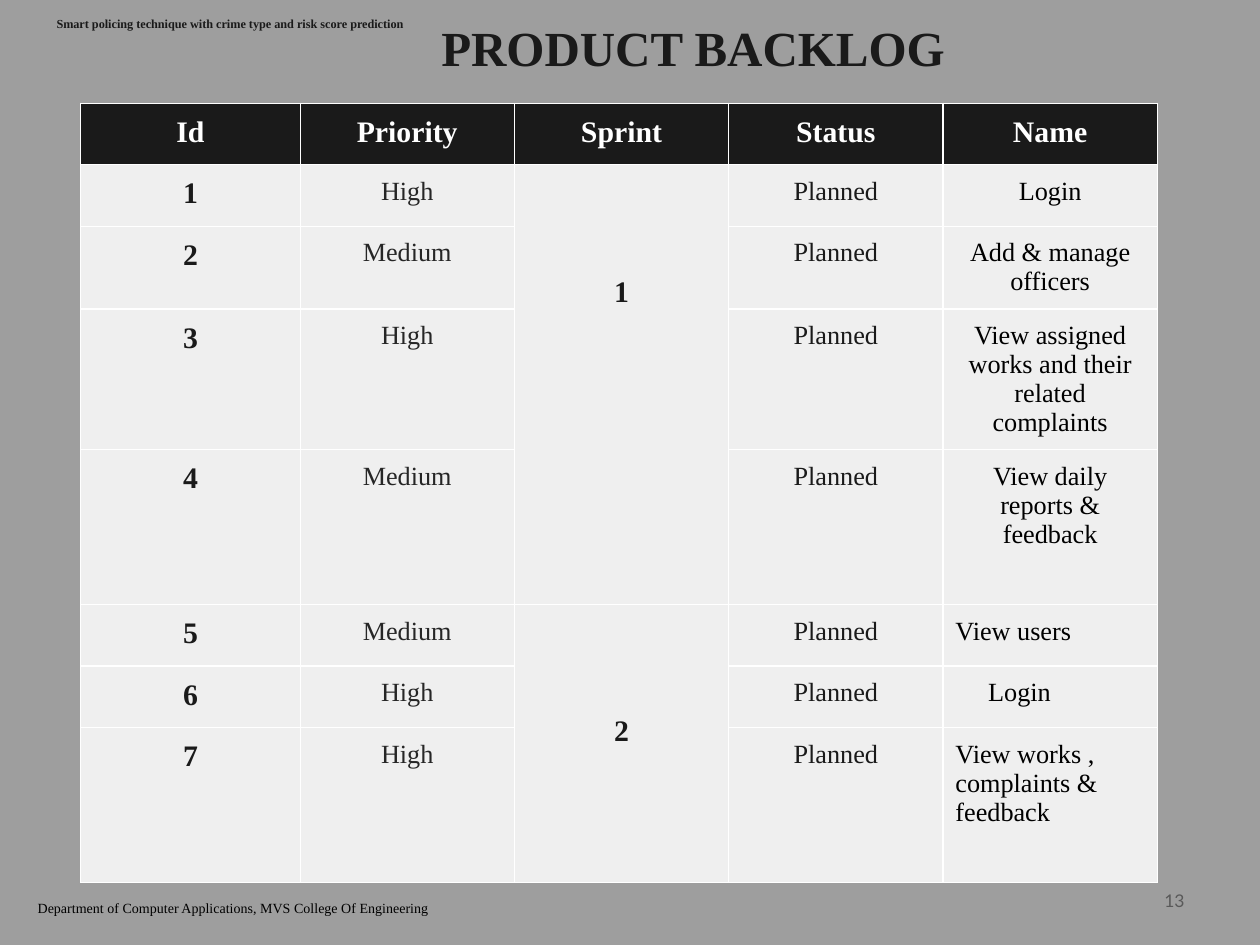
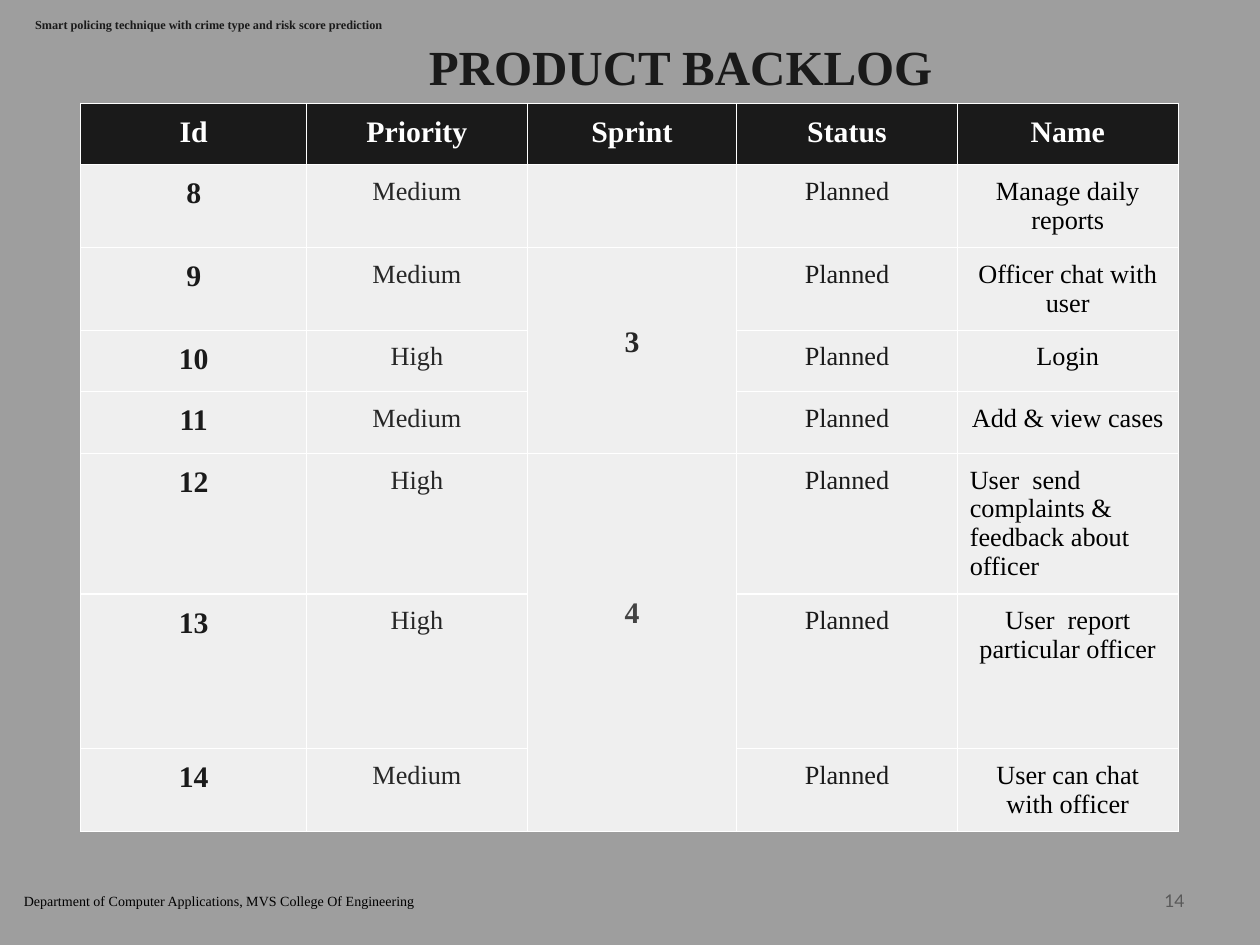
from lxml import etree
from pptx import Presentation
from pptx.dml.color import RGBColor
from pptx.enum import text
from pptx.oxml.ns import qn
from pptx.util import Cm, Pt

COLORS = {"back": "9E9E9E", "ink": "1A1A1A", "cell": "EFEFEF", "white": "FFFFFF",
          "black": "000000", "priority": "262626", "faded": "434343", "number": "595959"}
SERIF = "Times New Roman"
LEFT, CENTER, RIGHT = text.PP_ALIGN.LEFT, text.PP_ALIGN.CENTER, text.PP_ALIGN.RIGHT
TOP, MIDDLE = text.MSO_ANCHOR.TOP, text.MSO_ANCHOR.MIDDLE

# Text formats: font attributes plus a colour key
FORMATS = {
    "title": {"name": SERIF, "size": Pt(28), "bold": True, "color": "ink"},
    "head": {"name": SERIF, "size": Pt(17), "bold": True, "color": "white"},
    "id": {"name": SERIF, "size": Pt(17), "bold": True, "color": "ink"},
    "priority": {"name": SERIF, "size": Pt(15), "bold": False, "color": "priority"},
    "status": {"name": SERIF, "size": Pt(15), "bold": False, "color": "ink"},
    "name": {"name": SERIF, "size": Pt(15), "bold": False, "color": "black"},
    "project": {"name": SERIF, "size": Pt(7), "bold": True, "color": "ink"},
    "department": {"name": SERIF, "size": Pt(8), "bold": False, "color": "black"},
    "number": {"name": "Lato", "size": Pt(10), "bold": False, "color": "number"},
}

HEADINGS = ["Id", "Priority", "Sprint", "Status", "Name"]
PAD = 0.25
SPRINT_LINE = 0.66   # height of one line of sprint text
ROW, TALL_ROW = 1.24, 3.12

# items: priority, name, alignment, extra left indent
# sprints: first row, rows spanned, label, lines above it, colour
BACKLOGS = [
    {"number": 13, "first_id": 1, "title": (2.54, 0), "project": (0.89, 0.18),
     "department": (0.51, 17.96), "cols": [4.42, 4.32, 4.32, 4.32, 4.32],
     "tall": (4, 7),
     "sprints": [(1, 4, "1", 3, "ink"), (5, 3, "2", 3, "ink")],
     "items": [
         ("High", "Login", CENTER, 0),
         ("Medium", "Add & manage officers", CENTER, 0),
         ("High", "View assigned works and their related complaints", CENTER, 0),
         ("Medium", "View daily reports & feedback", CENTER, 0),
         ("Medium", "View users", LEFT, 0),
         ("High", "Login", LEFT, 0.66),
         ("High", "View works , complaints & feedback", LEFT, 0)]},
    {"number": 14, "first_id": 8, "title": (2.29, 0.38), "project": (0.46, 0.2),
     "department": (0.23, 17.83), "cols": [4.55, 4.45, 4.22, 4.45, 4.45],
     "tall": (6,),
     "sprints": [(2, 3, "3", 2, "priority"), (5, 3, "4", 4, "faded")],
     "items": [
         ("Medium", "Manage daily reports", CENTER, 0),
         ("Medium", "Officer chat with user", CENTER, 0),
         ("High", "Login", CENTER, 0),
         ("Medium", "Add & view cases", CENTER, 0),
         ("High", "User  send complaints & feedback about officer", LEFT, 0),
         ("High", "User  report particular officer", CENTER, 0),
         ("Medium", "User can chat with officer", CENTER, 0)]},
]


def rgb(key):
    return RGBColor.from_string(COLORS[key])


def write(tf, words, style, align=LEFT, **changes):
    p = tf.paragraphs[0]
    p.alignment = align
    r = p.add_run()
    r.text = words
    for key, value in {**FORMATS[style], **changes}.items():
        if key == "color":
            r.font.color.rgb = rgb(value)
        else:
            setattr(r.font, key, value)


def set_margins(target, left=PAD, top=PAD, right=PAD, bottom=PAD):
    sides = {"left": left, "top": top, "right": right, "bottom": bottom}
    for side, value in sides.items():
        setattr(target, f"margin_{side}", Cm(value))


def add_title(s, left, top):
    sp = s.shapes.title
    place = {"left": left, "top": top, "width": 22.86, "height": 1.88}
    for key, value in place.items():
        setattr(sp, key, Cm(value))
    tf = sp.text_frame
    tf.auto_size = text.MSO_AUTO_SIZE.NONE
    tf.vertical_anchor = MIDDLE
    write(tf, "PRODUCT BACKLOG", "title", CENTER)


def add_label(s, words, style, left, top, width, height, align=LEFT, anchor=TOP, pad=PAD):
    tf = s.shapes.add_textbox(Cm(left), Cm(top), Cm(width), Cm(height)).text_frame
    tf.word_wrap = True
    tf.vertical_anchor = anchor
    set_margins(tf, top=pad, bottom=pad)
    write(tf, words, style, align)


def add_borders(cell):
    tcPr = cell._tc.get_or_add_tcPr()
    for i, tag in enumerate(("a:lnL", "a:lnR", "a:lnT", "a:lnB")):
        ln = etree.Element(qn(tag), w=str(Pt(0.75)))
        fill = etree.SubElement(ln, qn("a:solidFill"))
        etree.SubElement(fill, qn("a:srgbClr"), val=COLORS["white"])
        tcPr.insert(i, ln)


def add_backlog_table(s, backlog):
    items, cols = backlog["items"], backlog["cols"]
    heights = [TALL_ROW if i in backlog["tall"] else ROW for i in range(len(items) + 1)]
    table = s.shapes.add_table(len(heights), len(cols), Cm(1.63), Cm(2.08),
                               Cm(sum(cols)), Cm(sum(heights))).table
    table.horz_banding = False
    for col, width in zip(table.columns, cols):
        col.width = Cm(width)
    for row, height in zip(table.rows, heights):
        row.height = Cm(height)

    # Fills, borders and margins; the sprint column stays free to shrink
    for i, row in enumerate(table.rows):
        for j, cell in enumerate(row.cells):
            cell.fill.solid()
            cell.fill.fore_color.rgb = rgb("cell" if i else "ink")
            add_borders(cell)
            pad = 0 if i and HEADINGS[j] == "Sprint" else PAD
            set_margins(cell, top=pad, bottom=pad)

    # Headings and items
    for j, heading in enumerate(HEADINGS):
        write(table.cell(0, j).text_frame, heading, "head", CENTER)
    for i, (priority, name, align, indent) in enumerate(items, start=1):
        number = str(backlog["first_id"] + i - 1)
        for j, words, style in ((0, number, "id"), (1, priority, "priority"),
                                (3, "Planned", "status")):
            write(table.cell(i, j).text_frame, words, style, CENTER)
        cell = table.cell(i, 4)
        set_margins(cell, left=PAD + indent)
        write(cell.text_frame, name, "name", align)

    # Sprints spanning several items
    for first, span, label, lines, color in backlog["sprints"]:
        cell = table.cell(first, 2)
        cell.merge(table.cell(first + span - 1, 2))
        set_margins(cell, top=PAD + lines * SPRINT_LINE)
        write(cell.text_frame, label, "id", CENTER, color=color)


def add_backlog_slide(prs, backlog):
    s = prs.slides.add_slide(prs.slide_layouts[5])
    add_title(s, *backlog["title"])
    add_backlog_table(s, backlog)
    add_label(s, str(backlog["number"]), "number", 18.21, 17.65, 5.92, 1.02,
              RIGHT, MIDDLE, pad=0.13)
    add_label(s, "Smart policing technique with crime type and risk score prediction",
              "project", *backlog["project"], 18.8, 0.81)
    add_label(s, "Department of Computer Applications, MVS College Of Engineering",
              "department", *backlog["department"], 18.8, 0.86)


def main():
    prs = Presentation()
    prs.slide_width, prs.slide_height = Cm(25.4), Cm(19.05)
    fill = prs.slide_master.background.fill
    fill.solid()
    fill.fore_color.rgb = rgb("back")
    for backlog in BACKLOGS:
        add_backlog_slide(prs, backlog)
    prs.save("out.pptx")


if __name__ == "__main__":
    main()
